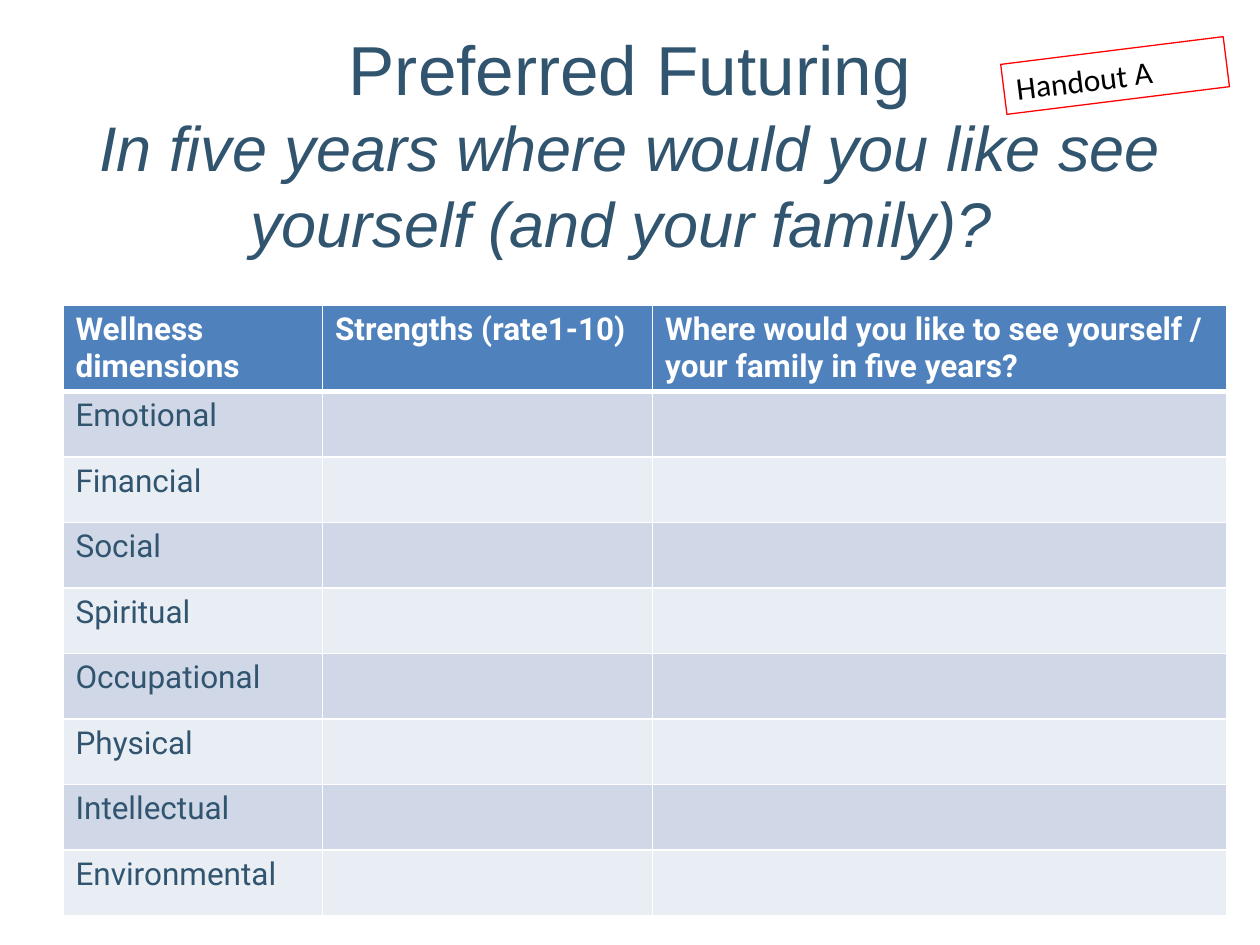
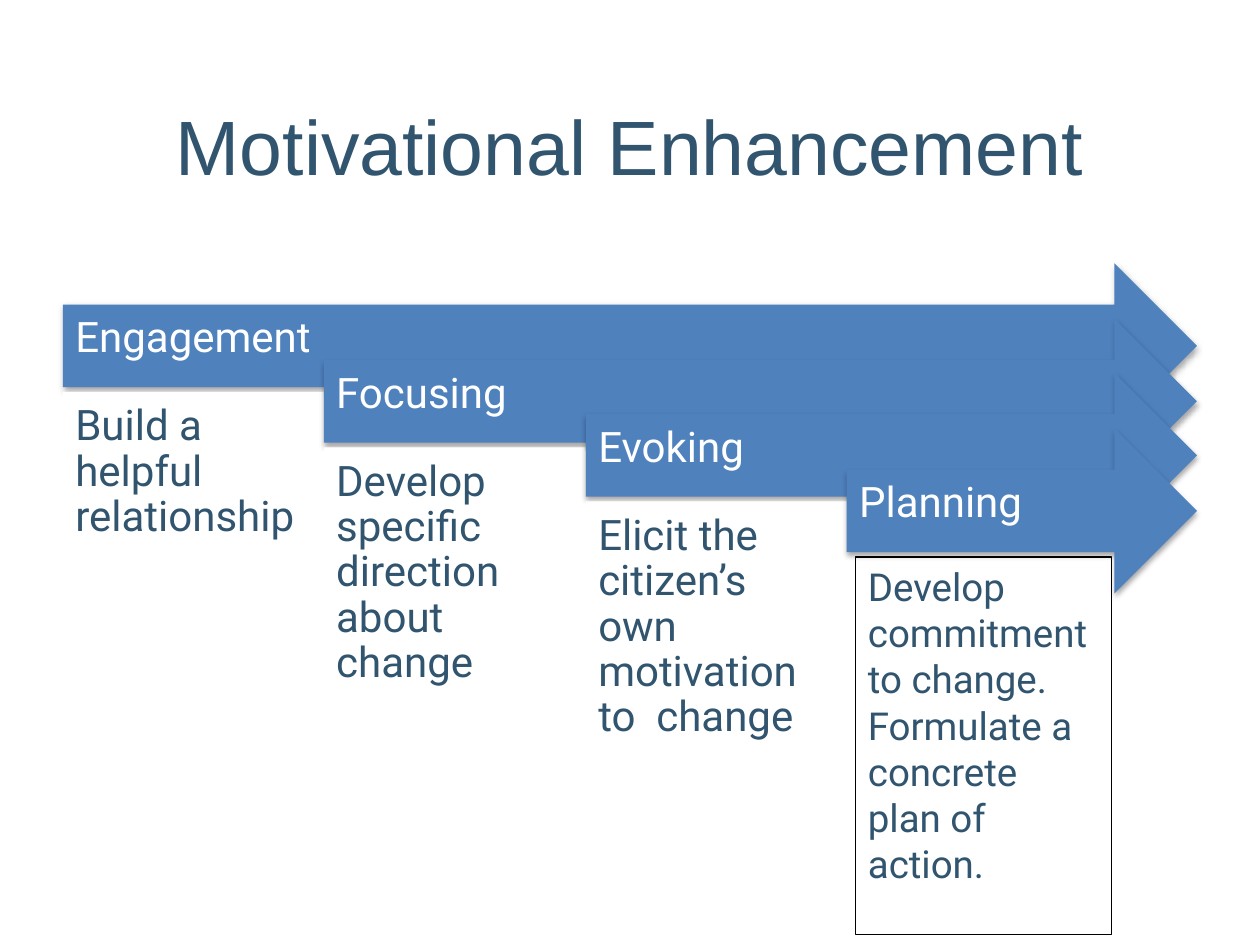
from lxml import etree
from pptx import Presentation
from pptx import util as u
from pptx.dml.color import RGBColor
from pptx.enum import shapes, text
from pptx.oxml import ns, parse_xml

PX = 9144
NAVY = RGBColor(0x31, 0x54, 0x6F)
BLUE = RGBColor(0x4F, 0x81, 0xBD)
BAND_DARK = RGBColor(0xD0, 0xD8, 0xE8)
BAND_LIGHT = RGBColor(0xE9, 0xED, 0xF4)
WHITE = RGBColor(0xFF, 0xFF, 0xFF)
BLACK = RGBColor(0, 0, 0)
RED = RGBColor(0xFF, 0, 0)

DIMENSIONS = ["Emotional", "Financial", "Social", "Spiritual",
              "Occupational", "Physical", "Intellectual", "Environmental"]
HEADINGS = ["Wellness dimensions", "Strengths (rate1-10)",
            "Where would you like to see yourself / your family in five years?"]
STAGES = [("Engagement", "Build a helpful relationship", 242),
          ("Focusing", "Develop specific direction about change", 236),
          ("Evoking", "Elicit the citizen’s own motivation to  change", 238),
          ("Planning", None, 0)]


def px(*lengths):
    return [u.Emu(round(length) * PX) for length in lengths]


def write(paragraph, content, size=24, font="Roboto", color=NAVY, bold=False,
          italic=False, align=text.PP_ALIGN.LEFT, spacing=None):
    paragraph.alignment = align
    if spacing:
        paragraph.line_spacing = spacing
    run = paragraph.add_run()
    run.text = content
    run.font.size = u.Pt(size)
    run.font.name = font
    run.font.color.rgb = color
    run.font.bold = bold
    run.font.italic = italic


def add_borders(cell, bottom):
    properties = cell._tc.get_or_add_tcPr()
    for index, side in enumerate("LRTB"):
        width = u.Pt(bottom if side == "B" else 1)
        properties.insert(index, parse_xml(
            f'<a:ln{side} {ns.nsdecls("a")} w="{width}"><a:solidFill>'
            f'<a:srgbClr val="{WHITE}"/></a:solidFill></a:ln{side}>'))


def add_shadow(shape):
    effects = shape._element.spPr.find(ns.qn("a:effectLst"))
    shadow = etree.SubElement(effects, ns.qn("a:outerShdw"), blurRad="40000",
                              dist="23000", dir="5400000", rotWithShape="0")
    tint = etree.SubElement(shadow, ns.qn("a:srgbClr"), val=str(BLACK))
    etree.SubElement(tint, ns.qn("a:alpha"), val="35000")


class Deck:
    def __init__(self):
        self.presentation = Presentation()
        self.presentation.slide_width, self.presentation.slide_height = px(1000, 750)
        self.slide = None

    def add_slide(self, top, height, *lines):
        self.slide = self.presentation.slides.add_slide(self.presentation.slide_layouts[5])
        title = self.slide.shapes.title
        title.left, title.top, title.width, title.height = px(50, top, 900, height)
        frame = title.text_frame
        frame.auto_size = text.MSO_AUTO_SIZE.NONE
        frame.vertical_anchor = text.MSO_ANCHOR.MIDDLE
        for index, (content, size, italic) in enumerate(lines):
            if index:
                frame.paragraphs[0].add_line_break()
            write(frame.paragraphs[0], content, size=size, font="Arial",
                  italic=italic, align=text.PP_ALIGN.CENTER)

    def table(self, box, widths, heights, rows):
        table = self.slide.shapes.add_table(len(rows), len(widths), *px(*box)).table
        table.horz_banding = False
        for column, width in zip(table.columns, px(*widths)):
            column.width = width
        for row, height in zip(table.rows, px(*heights)):
            row.height = height
        for r, contents in enumerate(rows):
            header = r == 0
            for c, content in enumerate(contents):
                cell = table.cell(r, c)
                cell.fill.solid()
                cell.fill.fore_color.rgb = BLUE if header else (BAND_LIGHT, BAND_DARK)[r % 2]
                add_borders(cell, 3 if header else 1)
                if content:
                    write(cell.text_frame.paragraphs[0], content, size=18,
                          color=WHITE if header else NAVY, bold=header)

    def framed_text(self, box, line, paragraphs, rotation=0, **style):
        note = self.slide.shapes.add_textbox(*px(*box))
        note.rotation = rotation
        note.line.color.rgb = line
        note.line.width = u.Pt(0.75)
        frame = note.text_frame
        frame.word_wrap = True
        for index, content in enumerate(paragraphs):
            write(frame.add_paragraph() if index else frame.paragraphs[0], content, **style)

    def block(self, kind, box, fill, content, anchor, insets, color):
        block = self.slide.shapes.add_shape(kind, *px(*box))
        block.shadow.inherit = False
        block.fill.solid()
        block.fill.fore_color.rgb = fill
        block.line.fill.background()
        frame = block.text_frame
        frame.word_wrap = True
        frame.vertical_anchor = anchor
        (frame.margin_left, frame.margin_top,
         frame.margin_right, frame.margin_bottom) = px(*insets)
        write(frame.paragraphs[0], content, color=color, spacing=0.9)
        return block

    def stage_arrow(self, left, top, label):
        arrow = self.block(shapes.MSO_SHAPE.RIGHT_ARROW, (left, top, 950 - left, 131), BLUE,
                           label, text.MSO_ANCHOR.MIDDLE, (10, 10, 28, 21), WHITE)
        add_shadow(arrow)

    def stage_detail(self, left, top, height, content):
        self.block(shapes.MSO_SHAPE.RECTANGLE, (left, top, 207, height), WHITE,
                   content, text.MSO_ANCHOR.TOP, (10, 10, 10, 10), NAVY)


def build_futuring(deck):
    deck.add_slide(27, 173, ("Preferred Futuring", 39.6, False),
                   ("In five years where would you like see yourself (and your family)? ", 36, True))
    deck.table((50, 242, 924, 486), (206, 262, 456), [51] + [52] * len(DIMENSIONS),
               [HEADINGS] + [[dimension, "", ""] for dimension in DIMENSIONS])
    deck.framed_text((796, 40, 178, 40), RED, ["Handout A"], rotation=352.9,
                     size=18, font="Calibri", color=BLACK)


def build_enhancement(deck):
    deck.add_slide(52, 125, ("Motivational Enhancement", 44, False))
    for index, (label, detail, height) in enumerate(STAGES):
        left = round(50 + index * 207.4)
        top = round(209 + index * 43.7)
        deck.stage_arrow(left, top, label)
        if detail:
            deck.stage_detail(left, top + 102, height, detail)
    deck.framed_text((679, 442, 203, 300), BLACK,
                     ["Develop commitment to change.",
                      "Formulate a concrete plan of action."], size=22)


def main():
    deck = Deck()
    build_futuring(deck)
    build_enhancement(deck)
    deck.presentation.save("out.pptx")


if __name__ == "__main__":
    main()
